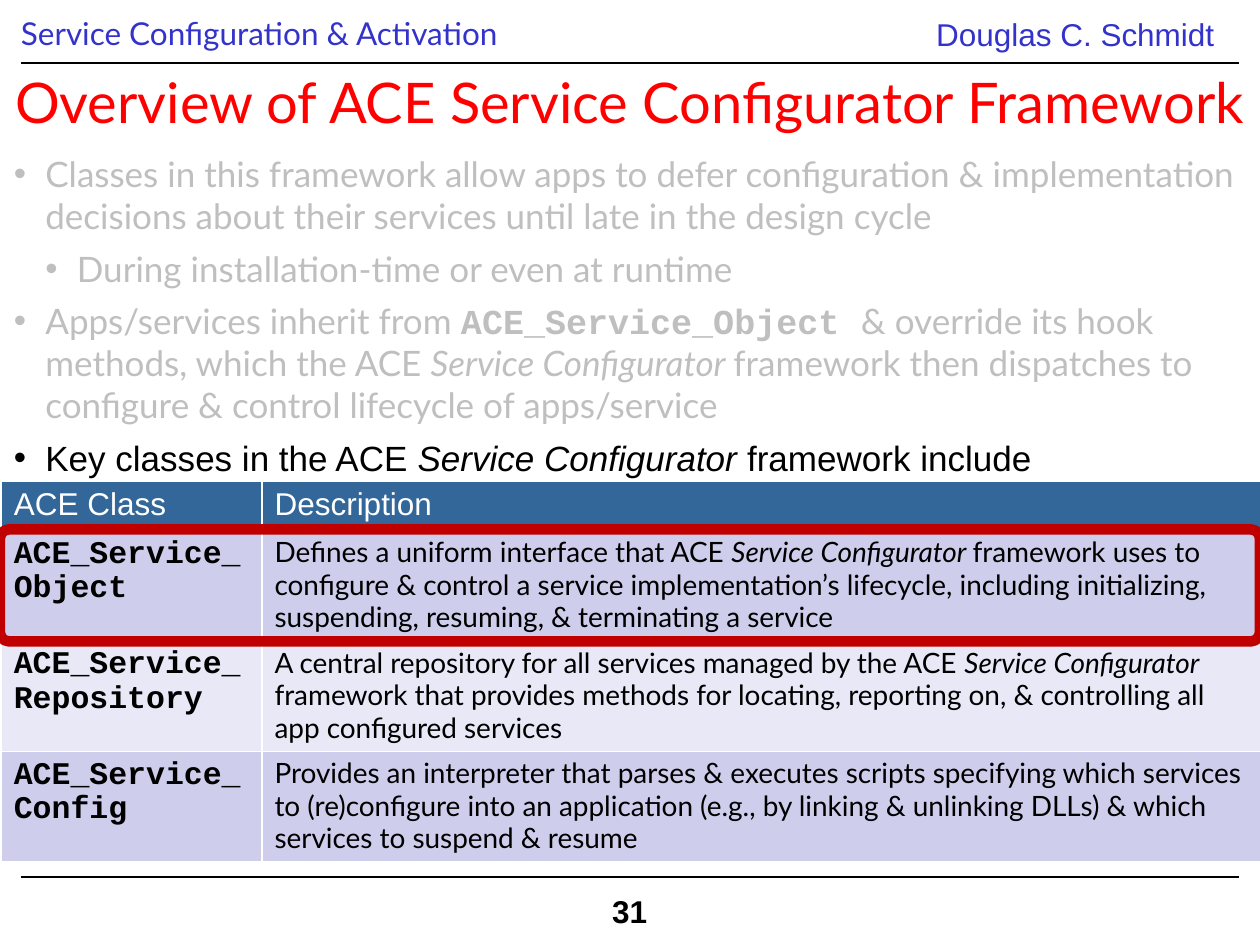
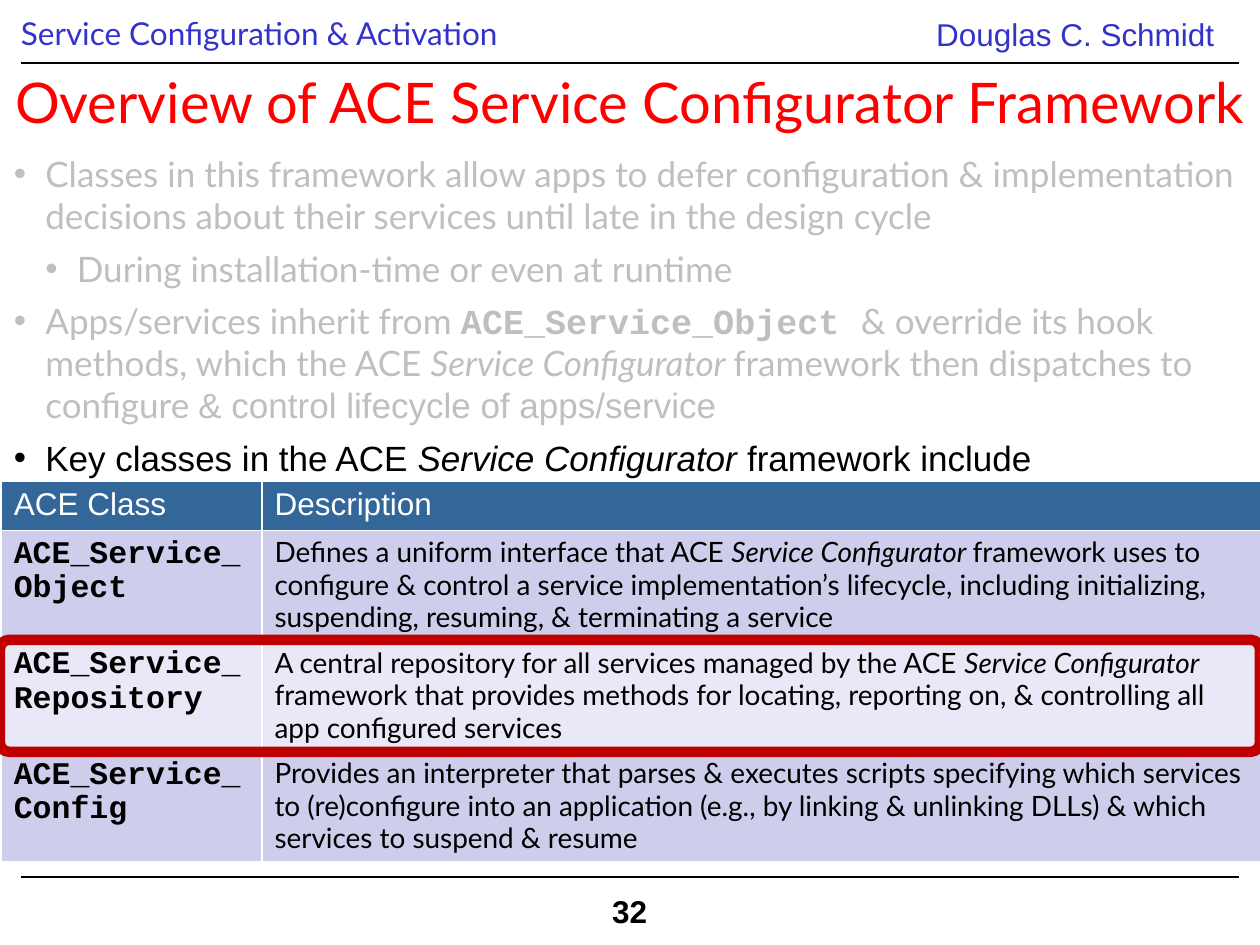
from lxml.etree import SubElement
from pptx import Presentation
from pptx.dml.color import RGBColor
from pptx.enum.shapes import MSO_CONNECTOR, MSO_SHAPE
from pptx.enum.text import MSO_ANCHOR, MSO_AUTO_SIZE, PP_ALIGN
from pptx.oxml.ns import qn
from pptx.util import Pt

COLORS = {
    "banner": "3333CC",
    "title": "FF0000",
    "faded": "BFBFBF",
    "ink": "000000",
    "paper": "FFFFFF",
    "table_head": "336699",
    "row_odd": "CECEEC",
    "row_even": "E8E8F6",
    "highlight": "C00000",
}
SANS, PLAIN, MONO = "Lato", "Arial", "Courier New"
SLIDE_W, SLIDE_H = 720, 540
RULE_MARGIN = 12
HEAD_H, ROW_H = 27.3, 63.1
INDENT = 18

TITLE_BOX = (0, 21.6, SLIDE_W, 72)
POINTS_BOX = (0.72, 83.52, 719.28, 225)
TABLE_BOX = (0.72, 275.04, 720, HEAD_H + 3 * ROW_H)

PATTERN = ("Service Configurator ", {"italic": True})
CLASSES = [
    ("ACE_Service_\nObject", [
        ("Defines a uniform interface that ACE ", {}), PATTERN,
        ("framework uses to configure & control a service implementation’s "
         "lifecycle, including initializing, suspending, resuming, & "
         "terminating a service", {})]),
    ("ACE_Service_\nRepository", [
        ("A central repository for all services managed by the ACE ", {}), PATTERN,
        ("framework that provides methods for locating, reporting on, & "
         "controlling all app configured services", {})]),
    ("ACE_Service_\nConfig", [
        ("Provides an interpreter that parses & executes scripts specifying "
         "which services to (re)configure into an application (e.g., by linking "
         "& unlinking DLLs) & which services to suspend & resume", {})]),
]


def rgb(name):
    return RGBColor.from_string(COLORS[name])


def points(box):
    return [Pt(length) for length in box]


def write(paragraph, text, size=18, font=SANS, color="ink", bold=False, italic=False):
    """Append text to a paragraph; a newline becomes a line break."""
    for index, line in enumerate(text.split("\n")):
        if index:
            paragraph.add_line_break()
        run = paragraph.add_run()
        run.text = line
        run.font.size = Pt(size)
        run.font.name = font
        run.font.bold = bold
        run.font.italic = italic
        run.font.color.rgb = rgb(color)


def write_parts(paragraph, parts, **base):
    """Write (text, overrides) pairs that share a base format."""
    for text, overrides in parts:
        write(paragraph, text, **{**base, **overrides})


def move(shape, box):
    shape.left, shape.top, shape.width, shape.height = points(box)


def add_label(slide, box, text, inset=7.2, wrap=True, **style):
    label = slide.shapes.add_textbox(*points(box))
    frame = label.text_frame
    frame.word_wrap = wrap
    frame.margin_left = frame.margin_right = Pt(inset)
    write(frame.paragraphs[0], text, **style)
    return label


def add_rule(slide, top):
    rule = slide.shapes.add_connector(
        MSO_CONNECTOR.STRAIGHT,
        *points((RULE_MARGIN, top, SLIDE_W - RULE_MARGIN, top)))
    rule.line.color.rgb = rgb("ink")
    rule.line.width = Pt(0.75)
    SubElement(rule._element.spPr, qn("a:effectLst"))


def add_frame(slide, page):
    """Add the banner texts, both rules and the page number."""
    add_label(slide, (RULE_MARGIN, 4.5, 426, 29), "Service Configuration & Activation",
              inset=0, color="banner")
    add_label(slide, (527.8, 5, 180.7, 29), "Douglas C. Schmidt",
              font=PLAIN, color="banner")
    for top in (36, 501.1):
        add_rule(slide, top)
    number = add_label(slide, (342.7, 506.2, 36.7, 29), str(page), wrap=False,
                       font=PLAIN, bold=True)
    number.fill.solid()
    number.fill.fore_color.rgb = rgb("paper")


def fill_title(title, box):
    move(title, box)
    frame = title.text_frame
    frame.auto_size = MSO_AUTO_SIZE.NONE
    frame.vertical_anchor = MSO_ANCHOR.MIDDLE
    heading = frame.paragraphs[0]
    heading.alignment = PP_ALIGN.CENTER
    write(heading, "Overview of ACE Service Configurator Framework",
          size=32, color="title")


def set_bullet(paragraph, level):
    paragraph.level = level
    paragraph.space_before = Pt(6)
    props = paragraph._p.get_or_add_pPr()
    props.set("marL", str(Pt(INDENT * (level + 1))))
    props.set("indent", str(Pt(-INDENT)))
    SubElement(props, qn("a:buFont"), typeface=PLAIN)
    SubElement(props, qn("a:buChar"), char="•")


def fill_points(body, box, closing_font):
    """Write the bullets; closing_font sets the end of the third one."""
    faded, key = {"color": "faded"}, {"font": PLAIN}
    bullets = [
        (0, faded, [("Classes in this framework allow apps to defer configuration & "
                     "implementation decisions about their services until late in "
                     "the design cycle", {})]),
        (1, faded, [("During installation-time or even at runtime", {})]),
        (0, faded, [("Apps/services inherit from ", {}),
                    ("ACE_Service_Object ", {"font": MONO, "bold": True}),
                    ("& override its hook methods, which the ACE ", {}), PATTERN,
                    ("framework then dispatches to configure ", {}),
                    ("& control lifecycle of apps/service", {"font": closing_font})]),
        (0, key, [("Key classes in the ACE ", {}), PATTERN, ("framework include", {})]),
    ]
    move(body, box)
    frame = body.text_frame
    frame.auto_size = MSO_AUTO_SIZE.NONE
    frame.vertical_anchor = MSO_ANCHOR.TOP
    for index, (level, style, parts) in enumerate(bullets):
        paragraph = frame.add_paragraph() if index else frame.paragraphs[0]
        set_bullet(paragraph, level)
        write_parts(paragraph, parts, size=20, **style)


def fill_cell(cell, fill, parts, **style):
    props = cell._tc.get_or_add_tcPr()
    for side in ("lnL", "lnR", "lnT", "lnB"):
        border = SubElement(props, qn(f"a:{side}"), w=str(Pt(1)))
        paint = SubElement(border, qn("a:solidFill"))
        SubElement(paint, qn("a:srgbClr"), val=COLORS["paper"])
    cell.fill.solid()
    cell.fill.fore_color.rgb = rgb(fill)
    paragraph = cell.text_frame.paragraphs[0]
    paragraph.line_spacing = 0.97
    write_parts(paragraph, parts, **style)


def add_class_table(slide, box):
    table = slide.shapes.add_table(len(CLASSES) + 1, 2, *points(box)).table
    name_width = 149
    table.columns[0].width = Pt(name_width)
    table.columns[1].width = Pt(box[2] - name_width)
    table.rows[0].height = Pt(HEAD_H)
    for column, heading in enumerate(("ACE Class", "Description")):
        fill_cell(table.cell(0, column), "table_head", [(heading, {})],
                  font=PLAIN, color="paper")
    for row, (name, description) in enumerate(CLASSES, start=1):
        table.rows[row].height = Pt(ROW_H)
        fill = "row_odd" if row % 2 else "row_even"
        fill_cell(table.cell(row, 0), fill, [(name, {})], font=MONO, bold=True)
        fill_cell(table.cell(row, 1), fill, description, size=16)


def highlight_class(slide, table_box, index):
    """Outline the table row of one class, counted from 0."""
    top = table_box[1] + HEAD_H + index * ROW_H + 0.2
    outline = slide.shapes.add_shape(MSO_SHAPE.ROUNDED_RECTANGLE,
                                     *points((0, top, SLIDE_W, 64)))
    outline.adjustments[0] = 0.08
    outline.shadow.inherit = False
    outline.fill.background()
    outline.line.color.rgb = rgb("highlight")
    outline.line.width = Pt(6)


def add_overview_slide(deck, page, highlighted, closing_font):
    slide = deck.slides.add_slide(deck.slide_layouts[1])
    add_frame(slide, page)
    fill_title(slide.shapes.title, TITLE_BOX)
    fill_points(slide.placeholders[1], POINTS_BOX, closing_font)
    add_class_table(slide, TABLE_BOX)
    highlight_class(slide, TABLE_BOX, highlighted)


def main():
    deck = Presentation()
    deck.slide_width, deck.slide_height = Pt(SLIDE_W), Pt(SLIDE_H)
    for index, closing_font in enumerate((SANS, PLAIN)):
        add_overview_slide(deck, 31 + index, index, closing_font)
    deck.save("out.pptx")


if __name__ == "__main__":
    main()
